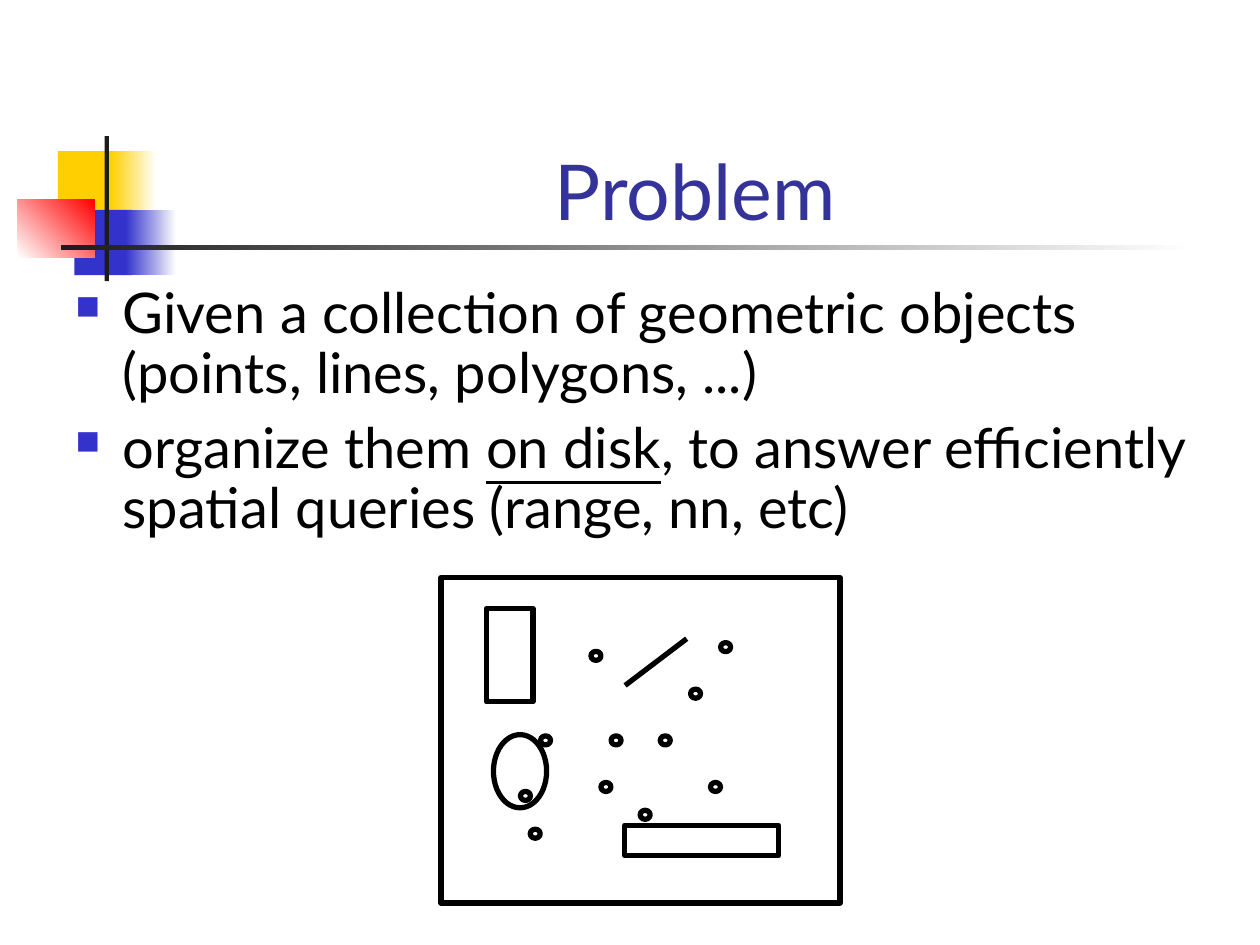
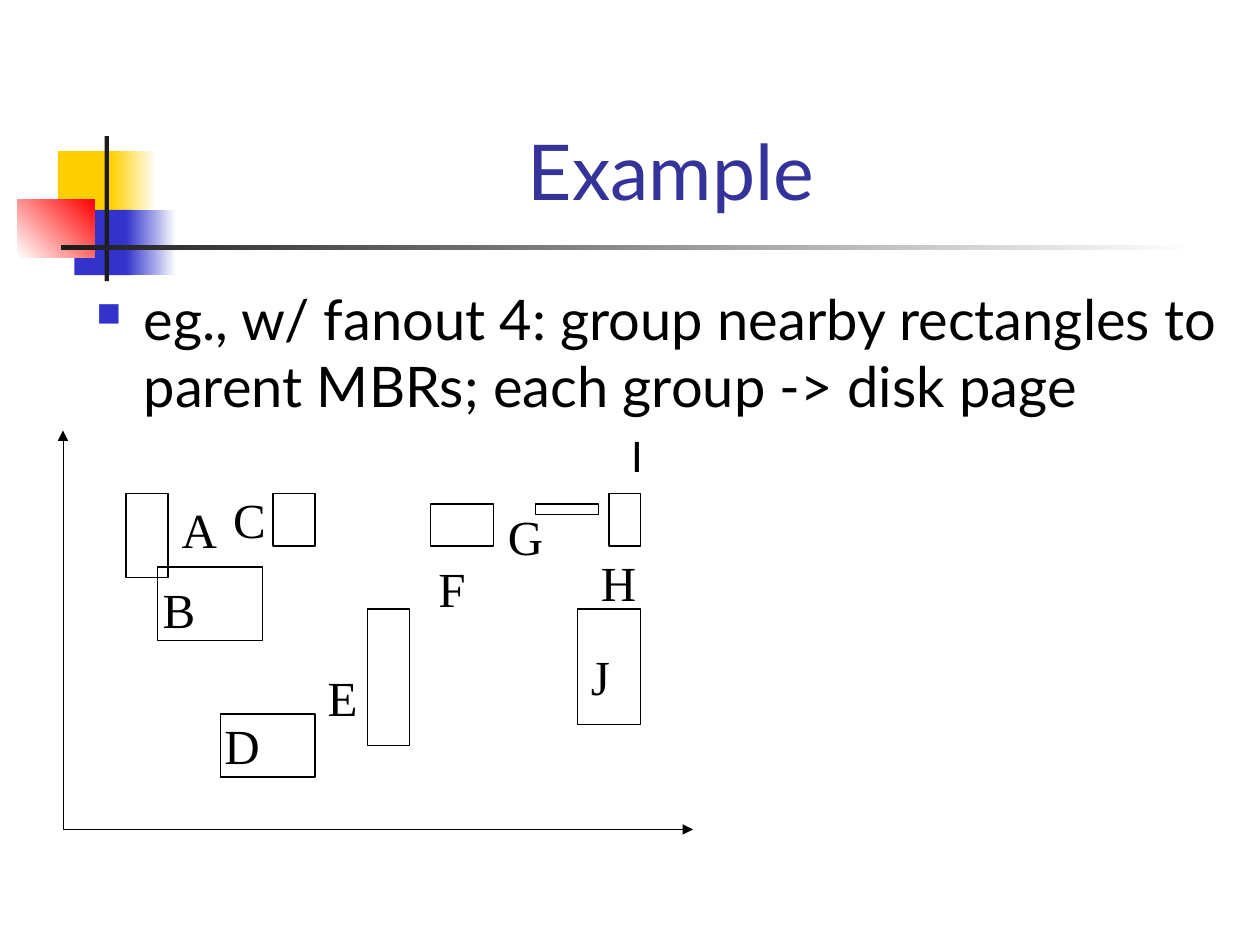
"""Build two slides on spatial indexing: the problem and a grouping example."""
from lxml import etree
from pptx import Presentation
from pptx.dml.color import RGBColor
from pptx.enum.shapes import MSO_CONNECTOR, MSO_SHAPE
from pptx.enum.text import MSO_ANCHOR, PP_ALIGN
from pptx.oxml.ns import qn
from pptx.util import Pt

RECT, OVAL, STRAIGHT = MSO_SHAPE.RECTANGLE, MSO_SHAPE.OVAL, MSO_CONNECTOR.STRAIGHT
TOP, MIDDLE, BOTTOM = MSO_ANCHOR.TOP, MSO_ANCHOR.MIDDLE, MSO_ANCHOR.BOTTOM
LEFT, CENTER = PP_ALIGN.LEFT, PP_ALIGN.CENTER
COLORS = {"text": "000000", "title": "333399", "blue": "3333CC", "yellow": "FFCF01",
          "red": "FF0000", "dark": "1C1C1C", "white": "FFFFFF"}
SANS, SERIF = "Lato", "Times New Roman"

MOTIF = [
    ((33.1, 86.4, 34.6, 37.4), ["yellow"], 0),
    ((63.4, 86.4, 25.9, 37.4), ["yellow", "white"], 0),
    ((42.5, 119.9, 33.1, 37.4), ["blue"], 0),
    ((72, 119.9, 28.8, 37.4), ["blue", "white"], 0),
    ((10.1, 113.8, 43.9, 33.1), ["white", "red"], 45),
    ((59.8, 77.8, 2.4, 82.8), ["dark"], 0),
    ((34.8, 140.2, 648, 2.5), ["dark", "white"], 0),
]

PROBLEM = {
    "title": "Problem", "title_box": (90.7, 48.2, 613.4, 90),
    "body_box": (36, 159.2, 669, 324), "line_spacing": 0.9,
    "body": [
        [("Given a collection of geometric objects (points, lines, polygons, ...)", False)],
        [("organize them ", False), ("on disk", True),
         (", to answer efficiently spatial queries (range, nn, etc)", False)],
    ],
}
OUTLINES = [
    (RECT, (252, 330, 228, 186)),
    (RECT, (278, 347.8, 26.6, 53.3)),
    (RECT, (357, 471.6, 88, 17.3)),
    (OVAL, (282, 419.8, 30.4, 41.8)),
]
SEGMENT = (357.2, 391.7, 392.4, 365)
DOT_SIZE = (5.7, 5.2)
DOTS = [(297.4, 452.2), (303, 473.8), (343.4, 447.1), (337.7, 372.2), (377.3, 420.5),
        (308.9, 420.5), (411.8, 367.2), (394.6, 393.8), (349.2, 420.5), (406, 447.1),
        (365.8, 463)]

EXAMPLE = {
    "title": "Example", "title_box": (106.6, 77.8, 553.7, 49),
    "body_box": (48, 159.2, 657.6, 324), "line_spacing": None,
    "body": [[("eg., w/ fanout 4: group nearby rectangles to parent MBRs; "
               "each group -> disk page", False)]],
}
RECTANGLES = [(72, 282, 24, 48), (156, 282, 24, 30), (90, 324, 60, 42),
              (126, 408, 54, 36), (210, 348, 24, 78), (246, 288, 36, 24),
              (330, 348, 36, 66), (348, 282, 18, 30), (306, 288, 36, 6)]
AXES = [(36, 246), (36, 474), (396, 474)]
LABELS = {"A": (96.5, 282, 34.6), "B": (85.7, 327.6, 33.1), "C": (126, 276, 33.1),
          "D": (121, 405.4, 34.6), "E": (180, 378, 31.7), "F": (243.4, 315.4, 29.5),
          "G": (283, 285.8, 34.6), "H": (336.2, 311.8, 34.6), "J": (330.5, 365.8, 25.2)}
LABEL_I = (353.5, 242.6, 22.3, 36)


def rgb(name):
    return RGBColor.from_string(COLORS[name])


def points(values):
    return [Pt(v) for v in values]


def add_bullet(p):
    pPr = p._p.get_or_add_pPr()
    pPr.set("marL", str(Pt(27)))
    pPr.set("indent", str(-Pt(27)))
    color = etree.SubElement(pPr, qn("a:buClr"))
    etree.SubElement(color, qn("a:srgbClr"), val=COLORS["blue"])
    etree.SubElement(pPr, qn("a:buSzPct"), val="60000")
    etree.SubElement(pPr, qn("a:buChar"), char="■")


def add_text(s, box, paragraphs, size=32, font=SANS, color="text", align=LEFT,
             anchor=TOP, wrap=True, bullet=False, line_spacing=None):
    tf = s.shapes.add_textbox(*points(box)).text_frame
    tf.word_wrap, tf.vertical_anchor = wrap, anchor
    for i, runs in enumerate(paragraphs):
        p = tf.add_paragraph() if i else tf.paragraphs[0]
        p.alignment = align
        if line_spacing:
            p.line_spacing = line_spacing
        if bullet:
            p.space_before = Pt(8)
            add_bullet(p)
        for text, underline in runs:
            r = p.add_run()
            r.text = text
            r.font.size, r.font.name = Pt(size), font
            r.font.color.rgb = rgb(color)
            if underline:
                r.font.underline = True


def set_line(sp, width):
    sp.line.color.rgb = rgb("text")
    sp.line.width = Pt(width)


def add_outline(s, kind, box, width):
    sp = s.shapes.add_shape(kind, *points(box))
    sp.shadow.inherit = False
    sp.fill.background()
    set_line(sp, width)


def add_motif(s):
    for box, colors, angle in MOTIF:
        sp = s.shapes.add_shape(RECT, *points(box))
        sp.shadow.inherit = False
        sp.line.fill.background()
        if len(colors) == 1:
            sp.fill.solid()
            sp.fill.fore_color.rgb = rgb(colors[0])
            continue
        sp.fill.gradient()
        sp.fill.gradient_angle = angle
        for stop, name in zip(sp.fill.gradient_stops, colors):
            stop.color.rgb = rgb(name)


def add_slide(prs, content):
    s = prs.slides.add_slide(prs.slide_layouts[6])
    add_motif(s)
    add_text(s, content["title_box"], [[(content["title"], False)]], size=44,
             color="title", align=CENTER, anchor=BOTTOM)
    add_text(s, content["body_box"], content["body"], bullet=True,
             line_spacing=content["line_spacing"])
    return s


def add_segment(s, ends, width):
    line = s.shapes.add_connector(STRAIGHT, *points(ends))
    set_line(line, width)
    etree.SubElement(line._element.spPr, qn("a:effectLst"))


def add_axes(s):
    start, *rest = [points(xy) for xy in AXES]
    builder = s.shapes.build_freeform(*start, scale=1.0)
    builder.add_line_segments(rest, close=False)
    sp = builder.convert_to_shape()
    sp.shadow.inherit = False
    sp.fill.background()
    set_line(sp, 0.25)
    for end in ("a:headEnd", "a:tailEnd"):
        etree.SubElement(sp.line._get_or_add_ln(), qn(end), type="triangle")


def build_problem(prs):
    s = add_slide(prs, PROBLEM)
    for kind, box in OUTLINES:
        add_outline(s, kind, box, 3)
    for dot in DOTS:
        add_outline(s, OVAL, dot + DOT_SIZE, 3)
    add_segment(s, SEGMENT, 3)


def build_example(prs):
    s = add_slide(prs, EXAMPLE)
    for box in RECTANGLES:
        add_outline(s, RECT, box, 0.75)
    add_axes(s)
    for letter, place in LABELS.items():
        add_text(s, place + (41,), [[(letter, False)]], size=28, font=SERIF,
                 align=CENTER, anchor=MIDDLE, wrap=False)
    add_text(s, LABEL_I, [[("I", False)]], size=24, wrap=False)


def main():
    prs = Presentation()
    prs.slide_width, prs.slide_height = Pt(720), Pt(540)
    build_problem(prs)
    build_example(prs)
    prs.save("out.pptx")


if __name__ == "__main__":
    main()
